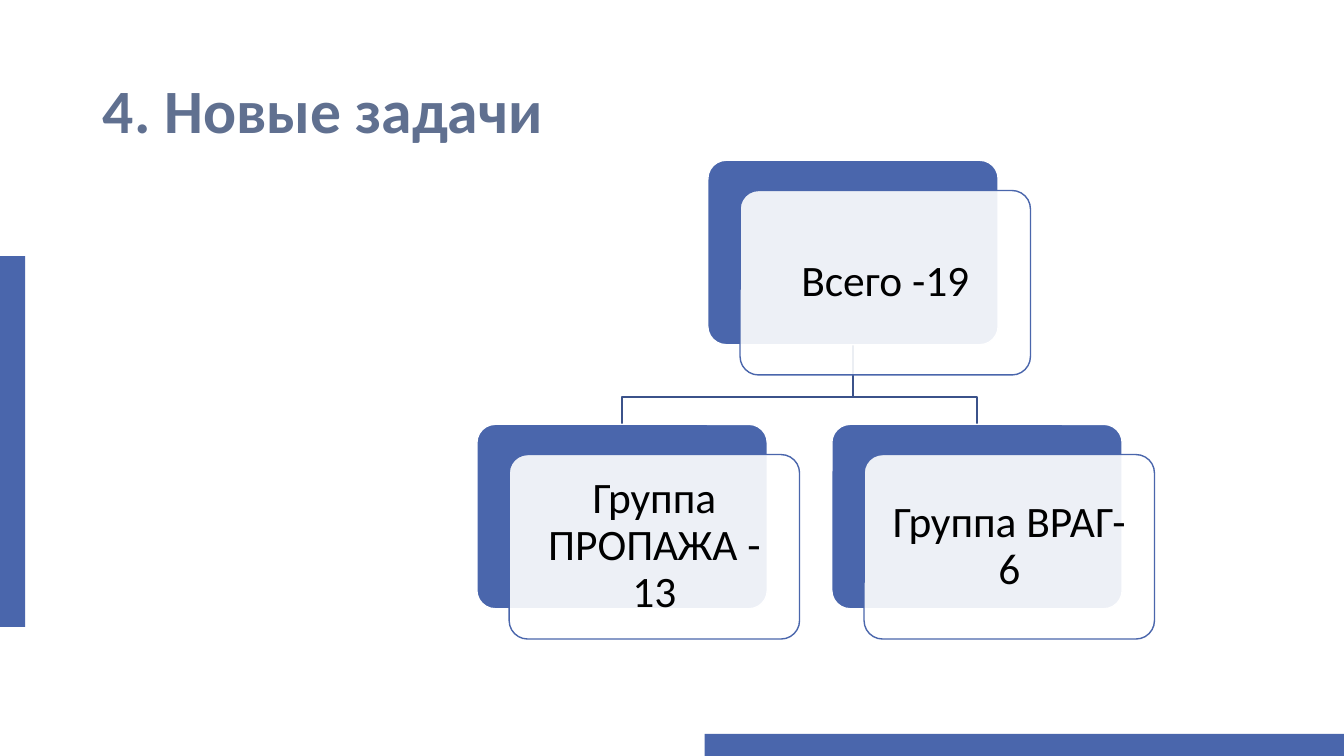
from lxml.etree import SubElement
from pptx import Presentation
from pptx.dml.color import RGBColor
from pptx.enum.shapes import MSO_SHAPE as Shape
from pptx.enum.text import MSO_ANCHOR as Anchor, PP_ALIGN as Align
from pptx.oxml.ns import qn
from pptx.util import Inches, Pt

WIDE, HIGH = 13.33, 7.5
FONT = "Calibri"
HUES = {"title": "607090", "blue": "4A66AC", "line": "3B528A",
        "white": "FFFFFF", "text": "000000"}
NODE_W, NODE_H = 2.88, 1.83
SHIFT_X, SHIFT_Y = 0.32, 0.3
COL, ROW = 3.52, 2.62
BEND = 0.52


def hue(name):
    return RGBColor.from_string(HUES[name])


def style(run, size, color, bold=False):
    run.font.name, run.font.size, run.font.bold = FONT, Pt(size), bold
    run.font.color.rgb = hue(color)


def block(slide, kind, box, fill, line=None):
    shape = slide.shapes.add_shape(kind, *map(Inches, box))
    shape.shadow.inherit = False
    shape.fill.solid()
    shape.fill.fore_color.rgb = hue(fill)
    if line:
        shape.line.color.rgb = hue(line)
        shape.line.width = Pt(1)
        shape.adjustments[0] = 0.1
    else:
        shape.line.fill.background()
    return shape


def head(slide, text, box):
    title = slide.shapes.title
    title.left, title.top, title.width, title.height = map(Inches, box)
    frame = title.text_frame
    frame.text = text
    frame.vertical_anchor = Anchor.MIDDLE
    para = frame.paragraphs[0]
    para.alignment, para.line_spacing = Align.LEFT, 0.9
    style(para.runs[0], 44, "title", True)


def bars(slide):
    block(slide, Shape.RECTANGLE, (0, 2.54, 0.25, 3.68), "blue")
    block(slide, Shape.RECTANGLE, (6.99, HIGH - 0.22, WIDE - 6.99, 0.22), "blue")


def node(slide, x, y, text):
    """Solid card with a see-through captioned card shifted over it."""
    block(slide, Shape.ROUNDED_RECTANGLE, (x, y, NODE_W, NODE_H), "blue", "white")
    card = block(slide, Shape.ROUNDED_RECTANGLE,
                 (x + SHIFT_X, y + SHIFT_Y, NODE_W, NODE_H), "white", "blue")
    tint = card.fill._xPr.find(qn("a:solidFill"))[0]
    SubElement(tint, qn("a:alpha")).set("val", "90000")
    frame = card.text_frame
    frame.word_wrap = True
    frame.vertical_anchor = Anchor.MIDDLE
    frame.margin_left = frame.margin_right = Inches(0.13)
    frame.margin_top = frame.margin_bottom = Inches(0.13)
    frame.text = text
    para = frame.paragraphs[0]
    para.alignment, para.line_spacing = Align.CENTER, 0.9
    style(para.runs[0], 31, "text")


def link(slide, top, end):
    """Bent line from the foot of one node to the head of another."""
    x, y = top[0] + NODE_W / 2, top[1] + NODE_H
    low = end[0] + NODE_W / 2
    path = [(x, y + BEND), (low, y + BEND), (low, end[1])]
    pen = slide.shapes.build_freeform(Inches(x), Inches(y))
    pen.add_line_segments([(Inches(a), Inches(b)) for a, b in path], close=False)
    line = pen.convert_to_shape()
    line.shadow.inherit = False
    line.fill.background()
    line.line.color.rgb = hue("line")
    line.line.width = Pt(1)


def tree(slide, x, y, root, kids):
    spots = [(x + i * COL, y + ROW) for i in range(len(kids))]
    top = (x + (len(kids) - 1) * COL / 2 + 0.53, y)
    for spot in spots:
        link(slide, top, spot)
    for spot, text in zip([top, *spots], [root, *kids]):
        node(slide, *spot, text)


def main():
    deck = Presentation()
    deck.slide_width, deck.slide_height = Inches(WIDE), Inches(HIGH)
    slide = deck.slides.add_slide(deck.slide_layouts[5])
    head(slide, "4. Новые задачи", (0.92, 0.4, 11.5, 1.45))
    bars(slide)
    tree(slide, 4.73, 1.59, "Всего -19",
         ["Группа ПРОПАЖА - 13", "Группа ВРАГ- 6"])
    deck.save("out.pptx")


if __name__ == "__main__":
    main()
